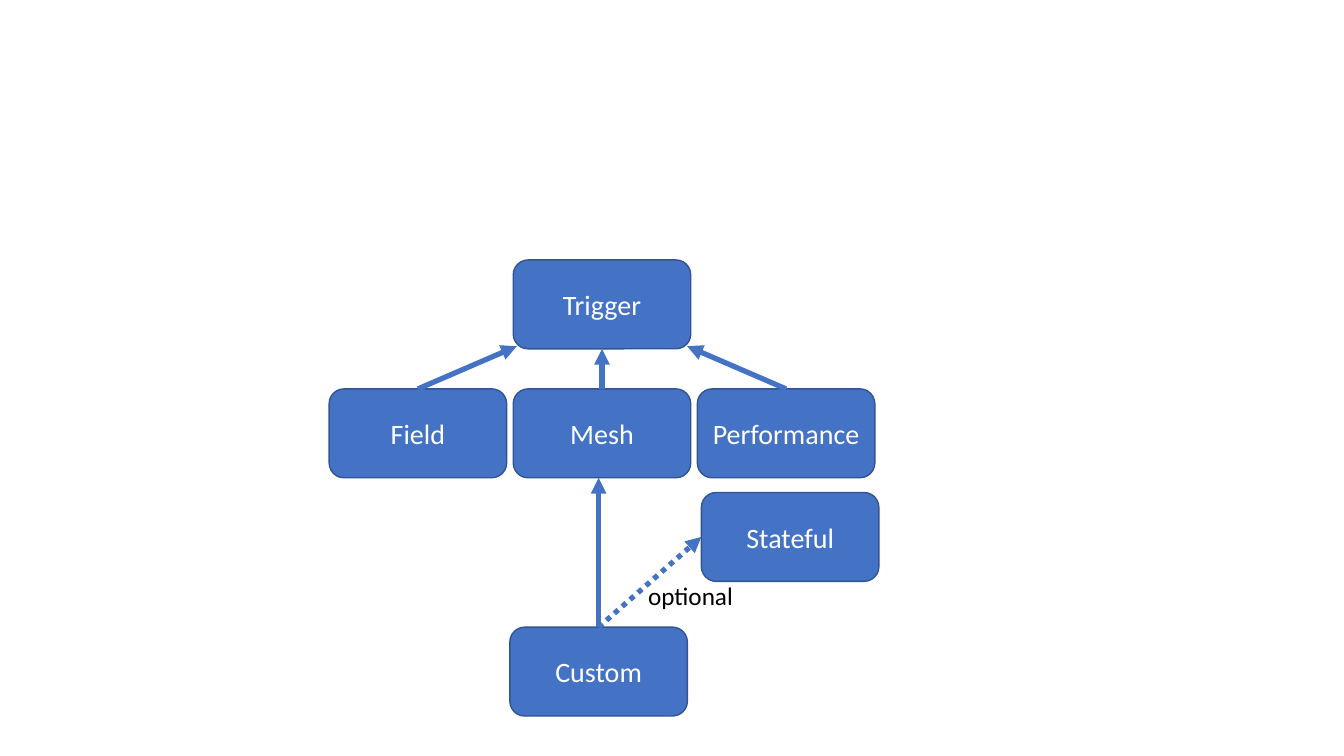
from lxml import etree
from pptx import Presentation
from pptx.dml.color import RGBColor
from pptx.enum import dml, shapes, text
from pptx.oxml.ns import qn
from pptx.util import Pt

HUE = {"box": "4472C4", "edge": "325491", "light": "FFFFFF", "dark": "000000"}
WIDE, HIGH = 126.8, 63.5
MID, ROW, STEP = 366.6, 277.8, 131.5
BOXES = {  # name: left, top
    "Trigger": (MID, 185.7),
    "Field": (MID - STEP, ROW),
    "Mesh": (MID, ROW),
    "Performance": (MID + STEP, ROW),
    "Custom": (364.2, 448),
    "Stateful": (501, 351.8),
}
# Spots on a box, as shares of its width and height
SPOTS = {"top": (0.5, 0), "base": (0.5, 1), "left": (0, 0.5),
         "low left": (0.02, 0.97), "low right": (0.98, 0.97)}
ARROWS = [  # from box, to box, spot reached, dotted
    ("Mesh", "Trigger", "base", False),
    ("Field", "Trigger", "low left", False),
    ("Performance", "Trigger", "low right", False),
    ("Custom", "Custom", (0.5, (ROW + HIGH - 448) / HIGH), False),
    ("Custom", "Stateful", "left", True),
]
NOTE = ("optional", (455.8, 411, 75.6, 29))


def color(name):
    return RGBColor.from_string(HUE[name])


def write(shape, words, size, hue, align):
    frame = shape.text_frame
    para = frame.paragraphs[0]
    para.alignment = align
    run = para.add_run()
    run.text = words
    for key, val in {"name": "Calibri", "size": Pt(size)}.items():
        setattr(run.font, key, val)
    run.font.color.rgb = color(hue)
    return frame


def add_box(slide, name, left, top):
    box = slide.shapes.add_shape(shapes.MSO_SHAPE.ROUNDED_RECTANGLE,
                                 *map(Pt, (left, top, WIDE, HIGH)))
    box.shadow.inherit = False
    box.fill.solid()
    box.fill.fore_color.rgb = color("box")
    box.line.color.rgb = color("edge")
    box.line.width = Pt(1)
    frame = write(box, name, 20, "light", text.PP_ALIGN.CENTER)
    frame.word_wrap = True
    frame.vertical_anchor = text.MSO_ANCHOR.MIDDLE


def place(name, spot):
    left, top = BOXES[name]
    across, down = SPOTS.get(spot, spot)
    return Pt(left + across * WIDE), Pt(top + down * HIGH)


def add_arrow(slide, start, end, spot, dotted):
    line = slide.shapes.add_connector(shapes.MSO_CONNECTOR.STRAIGHT,
                                      *place(start, "top"), *place(end, spot))
    line.line.color.rgb = color("box")
    line.line.width = Pt(3.75)
    if dotted:
        line.line.dash_style = dml.MSO_LINE.ROUND_DOT
    props = line._element.spPr
    etree.SubElement(props.find(qn("a:ln")), qn("a:tailEnd"), type="triangle")
    etree.SubElement(props, qn("a:effectLst"))


def main():
    deck = Presentation()
    deck.slide_width, deck.slide_height = Pt(960), Pt(540)
    slide = deck.slides.add_slide(deck.slide_layouts[6])
    for name, spot in BOXES.items():
        add_box(slide, name, *spot)
    for arrow in ARROWS:
        add_arrow(slide, *arrow)
    words, area = NOTE
    note = slide.shapes.add_textbox(*map(Pt, area))
    frame = write(note, words, 18, "dark", text.PP_ALIGN.LEFT)
    frame.word_wrap = False
    frame.auto_size = text.MSO_AUTO_SIZE.SHAPE_TO_FIT_TEXT
    deck.save("out.pptx")


if __name__ == "__main__":
    main()
